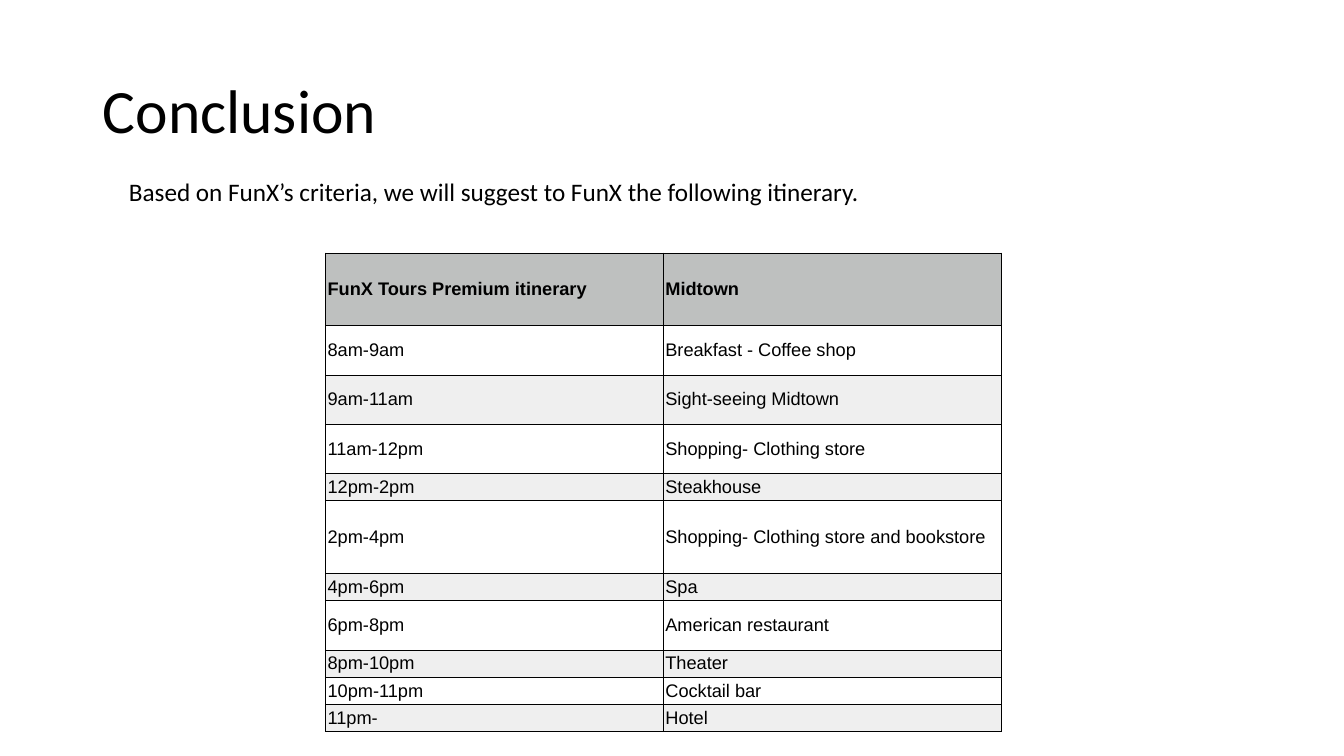
"""Build the Conclusion slide with its itinerary table."""
from dataclasses import dataclass
from typing import Any

from lxml.etree import SubElement
from pptx import Presentation
from pptx.dml.color import RGBColor
from pptx.enum.text import MSO_ANCHOR, MSO_AUTO_SIZE, PP_ALIGN
from pptx.oxml.ns import qn
from pptx.util import Inches, Pt


@dataclass(frozen=True)
class Theme:
    ink: str = "000000"
    header: str = "BEC0BF"
    plain: str = "FFFFFF"
    band: str = "EFEFEF"
    heading_font: str = "Calibri"
    table_font: str = "Arial"
    title_size: int = 44
    intro_size: int = 18
    cell_size: int = 13
    border: float = 0.6


@dataclass(frozen=True)
class Stop:
    time: str
    activity: str
    height: float


THEME = Theme()
TALL, MEDIUM, SHORT = 0.72, 0.49, 0.27
STOPS = [
    Stop("FunX Tours Premium itinerary", "Midtown", TALL),
    Stop("8am-9am", "Breakfast - Coffee shop", MEDIUM),
    Stop("9am-11am", "Sight-seeing Midtown", MEDIUM),
    Stop("11am-12pm", "Shopping- Clothing store\u00a0", MEDIUM),
    Stop("12pm-2pm", "Steakhouse\u00a0", SHORT),
    Stop("2pm-4pm", "Shopping- Clothing store and bookstore", TALL),
    Stop("4pm-6pm", "Spa", SHORT),
    Stop("6pm-8pm", "American restaurant", MEDIUM),
    Stop("8pm-10pm", "Theater\u00a0", SHORT),
    Stop("10pm-11pm", "Cocktail bar", SHORT),
    Stop("11pm-", "Hotel", SHORT),
]


def apply(target: Any, values: dict[str, Any]) -> None:
    """Set each named attribute on the target."""
    for name, value in values.items():
        setattr(target, name, value)


def place(sp: Any, left: float, top: float, width: float, height: float) -> None:
    """Move and size a shape in inches."""
    box = dict(left=left, top=top, width=width, height=height)
    apply(sp, {name: Inches(value) for name, value in box.items()})


def write(tf: Any, text: str, font: str, size: int, bold: bool = False) -> Any:
    """Fill a text frame with one left-aligned run and return its paragraph."""
    p = tf.paragraphs[0]
    p.alignment = PP_ALIGN.LEFT
    r = p.add_run()
    r.text = text
    apply(r.font, dict(name=font, size=Pt(size), bold=bold))
    r.font.color.rgb = RGBColor.from_string(THEME.ink)
    return p


def add_borders(cell: Any) -> None:
    """Draw a thin line on all four sides of a cell."""
    tc_pr = cell._tc.get_or_add_tcPr()
    for side in ("a:lnL", "a:lnR", "a:lnT", "a:lnB"):
        ln = SubElement(tc_pr, qn(side), w=str(Pt(THEME.border)))
        SubElement(SubElement(ln, qn("a:solidFill")), qn("a:srgbClr"), val=THEME.ink)


def fill_cell(cell: Any, text: str, color: str, bold: bool) -> None:
    """Format one table cell."""
    margins = ("margin_left", "margin_right", "margin_top", "margin_bottom")
    apply(cell, dict.fromkeys(margins, Inches(0.02)))
    cell.vertical_anchor = MSO_ANCHOR.MIDDLE
    write(cell.text_frame, text, THEME.table_font, THEME.cell_size, bold)
    add_borders(cell)
    cell.fill.solid()
    cell.fill.fore_color.rgb = RGBColor.from_string(color)


def add_itinerary(s: Any) -> None:
    """Add the table with one row per stop."""
    height = sum(stop.height for stop in STOPS)
    table = s.shapes.add_table(
        len(STOPS), 2, Inches(3.23), Inches(2.51), Inches(6.7), Inches(height)
    ).table
    for i, stop in enumerate(STOPS):
        table.rows[i].height = Inches(stop.height)
        color = THEME.header if i == 0 else THEME.plain if i % 2 else THEME.band
        for j, text in enumerate((stop.time, stop.activity)):
            fill_cell(table.cell(i, j), text, color, bold=i == 0)


def add_title(s: Any) -> None:
    """Place and write the slide title."""
    title = s.shapes.title
    place(title, 0.92, 0.4, 11.5, 1.45)
    apply(title.text_frame, dict(vertical_anchor=MSO_ANCHOR.MIDDLE, word_wrap=True))
    p = write(title.text_frame, "Conclusion", THEME.heading_font, THEME.title_size)
    p.line_spacing = 0.9


def add_intro(s: Any) -> None:
    """Add the sentence that introduces the table."""
    sp = s.shapes.add_textbox(Inches(1.18), Inches(1.7), Inches(7.59), Inches(0.4))
    apply(sp.text_frame, dict(word_wrap=False, auto_size=MSO_AUTO_SIZE.SHAPE_TO_FIT_TEXT))
    text = "Based on FunX’s criteria, we will suggest to FunX the following itinerary."
    write(sp.text_frame, text, THEME.heading_font, THEME.intro_size)


def main() -> None:
    """Build and save the deck."""
    prs = Presentation()
    apply(prs, dict(slide_width=Inches(13.33), slide_height=Inches(7.5)))
    s = prs.slides.add_slide(prs.slide_layouts[5])
    add_title(s)
    add_itinerary(s)
    add_intro(s)
    prs.save("out.pptx")


main()
